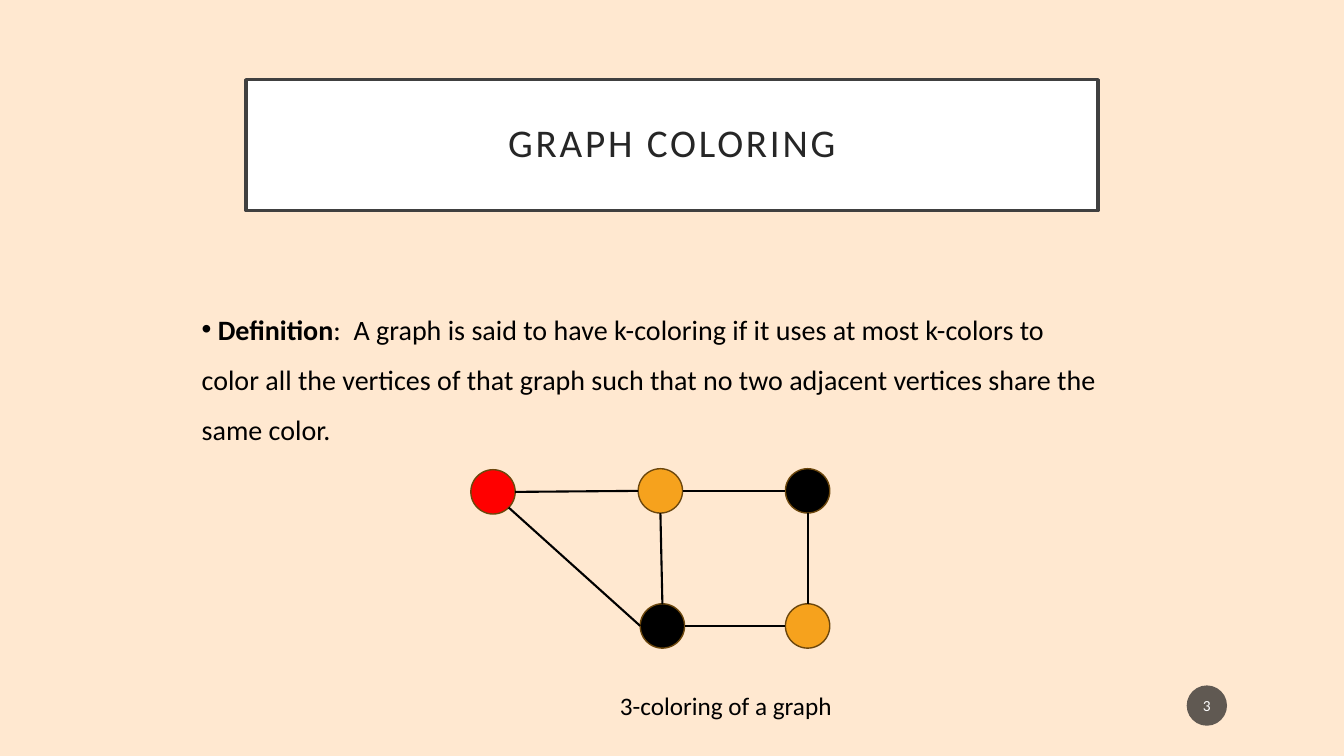
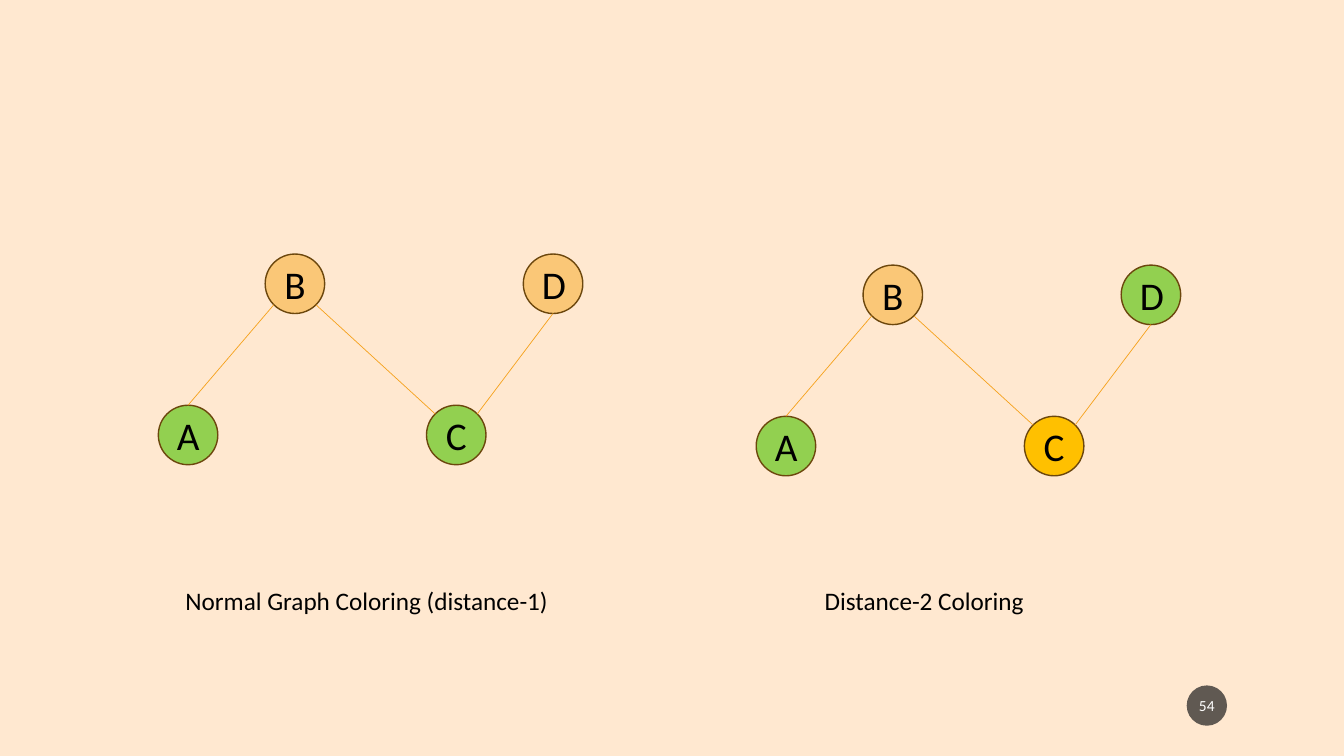
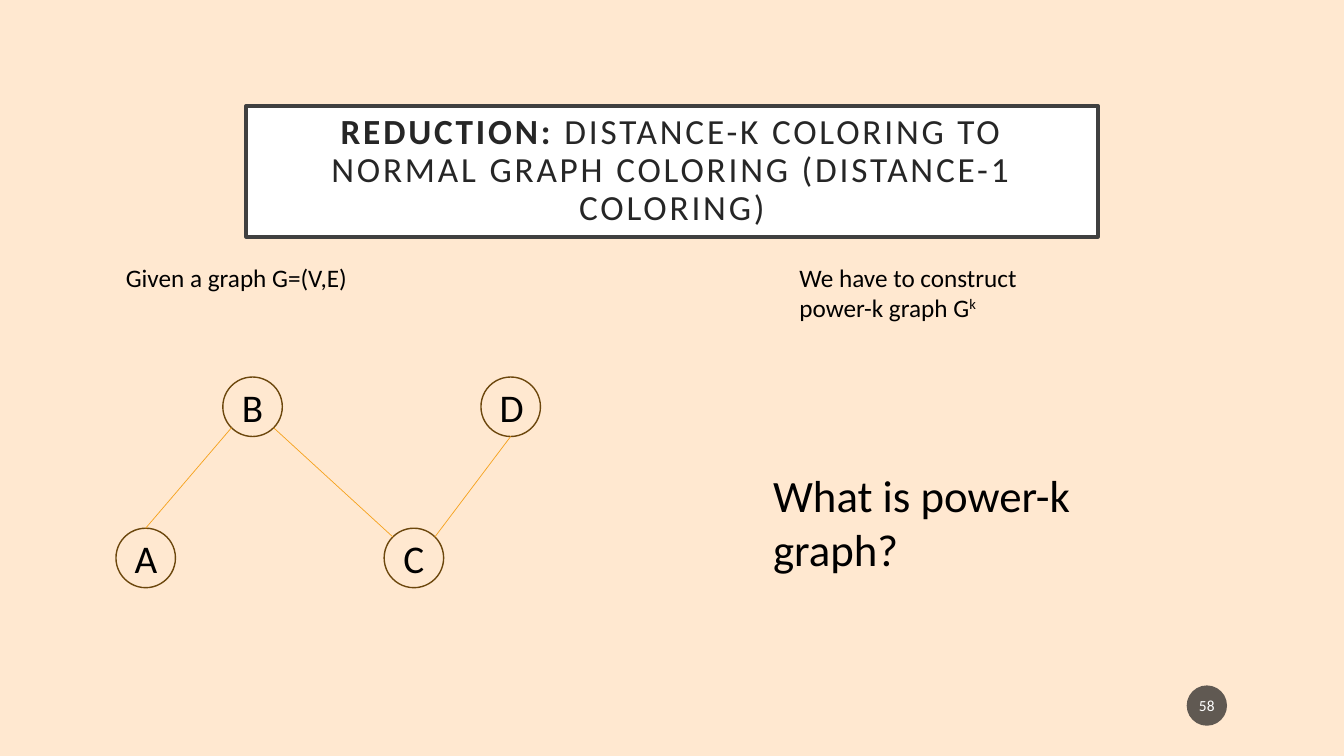
import math

import lxml.etree
import pptx
import pptx.dml.color
import pptx.enum.shapes
import pptx.enum.text
import pptx.oxml.ns
import pptx.util

Inches = pptx.util.Inches
Pt = pptx.util.Pt
RGBColor = pptx.dml.color.RGBColor
Align = pptx.enum.text.PP_ALIGN
Anchor = pptx.enum.text.MSO_ANCHOR
Fit = pptx.enum.text.MSO_AUTO_SIZE
Shape = pptx.enum.shapes.MSO_SHAPE
Line = pptx.enum.shapes.MSO_CONNECTOR
qn = pptx.oxml.ns.qn

FONT = "Calibri"
PAGE = RGBColor(0xFF, 0xE8, 0xD0)
WHITE = RGBColor(0xFF, 0xFF, 0xFF)
BLACK = RGBColor(0x00, 0x00, 0x00)
FRAME = RGBColor(0x40, 0x40, 0x40)
INK = RGBColor(0x26, 0x26, 0x26)
BADGE = RGBColor(0x1D, 0x1D, 0x1D)
BROWN = RGBColor(0x6C, 0x47, 0x0D)
AMBER = RGBColor(0xF6, 0xA2, 0x1D)
PEACH = RGBColor(0xFA, 0xC7, 0x77)
GOLD = RGBColor(0xFF, 0xC0, 0x00)
GREEN = RGBColor(0x92, 0xD0, 0x50)
RED = RGBColor(0xFF, 0x00, 0x00)

TOP, TOP_LEFT, LEFT, LOW_LEFT, LOW, LOW_RIGHT, RIGHT, TOP_RIGHT = range(8)
BIG, SMALL = 0.59, 0.44
CHAIN = {"A": (0, 0), "B": (1.06, -1.5), "C": (2.66, 0), "D": (3.62, -1.5)}
LINKS = [("A", TOP, "B", LOW_LEFT), ("C", TOP_LEFT, "B", LOW_RIGHT),
         ("C", TOP_RIGHT, "D", LOW)]


def place(shape, left, top, width, height):
    shape.left, shape.top = Inches(left), Inches(top)
    shape.width, shape.height = Inches(width), Inches(height)


def write(para, text, size, color=BLACK, bold=False):
    run = para.add_run()
    run.text = text
    run.font.name = FONT
    run.font.size = Pt(size)
    run.font.bold = bold
    run.font.color.rgb = color
    return run


def add_title(slide, top, size, parts):
    title = slide.shapes.title
    place(title, 2.44, top, 8.45, 1.3)
    title.fill.solid()
    title.fill.fore_color.rgb = WHITE
    title.line.color.rgb = FRAME
    title.line.width = Pt(2.5)
    frame = title.text_frame
    frame.word_wrap = True
    frame.auto_size = Fit.NONE
    frame.vertical_anchor = Anchor.MIDDLE
    frame.margin_left = frame.margin_right = Inches(0.2)
    frame.margin_top = frame.margin_bottom = Inches(0.2)
    para = frame.paragraphs[0]
    para.alignment = Align.CENTER
    para.line_spacing = 0.9
    for text, bold in parts:
        run = write(para, text, size, INK, bold)
        run._r.get_or_add_rPr().set("spc", "200")


def add_body(slide, parts):
    body = slide.placeholders[1]
    place(body, 1.9, 2.9, 9.12, 1.56)
    frame = body.text_frame
    frame.word_wrap = True
    frame.auto_size = Fit.NONE
    frame.vertical_anchor = Anchor.MIDDLE
    para = frame.paragraphs[0]
    para.line_spacing = 1.5
    para.space_before = Pt(0)
    props = para._p.get_or_add_pPr()
    props.set("marL", "0")
    props.set("indent", "0")
    lxml.etree.SubElement(props, qn("a:buFont")).set("typeface", "Arial")
    lxml.etree.SubElement(props, qn("a:buChar")).set("char", "•")
    for text, bold in parts:
        write(para, text, 20, bold=bold)


def add_note(slide, left, top, width, height, text, size=18):
    box = slide.shapes.add_textbox(Inches(left), Inches(top),
                                   Inches(width), Inches(height))
    box.text_frame.word_wrap = True
    para = box.text_frame.paragraphs[0]
    write(para, text, size)
    return para


def add_disc(slide, left, top, size, fill):
    disc = slide.shapes.add_shape(Shape.OVAL, Inches(left), Inches(top),
                                  Inches(size), Inches(size))
    disc.shadow.inherit = False
    if fill is None:
        disc.fill.background()
    else:
        disc.fill.solid()
        disc.fill.fore_color.rgb = fill
    return disc


def label(disc, text, size, color):
    frame = disc.text_frame
    frame.vertical_anchor = Anchor.MIDDLE
    para = frame.paragraphs[0]
    para.alignment = Align.CENTER
    write(para, text, size, color)


def add_badge(slide, number):
    badge = add_disc(slide, 11.77, 6.8, 0.4, BADGE)
    color = badge._element.spPr.find(".//" + qn("a:srgbClr"))
    lxml.etree.SubElement(color, qn("a:alpha")).set("val", "70000")
    badge.line.fill.background()
    badge.text_frame.margin_left = badge.text_frame.margin_right = Inches(0.02)
    label(badge, number, 11, WHITE)


def add_node(slide, left, top, size, fill, name=None):
    node = add_disc(slide, left, top, size, fill)
    node.line.color.rgb = BROWN
    node.line.width = Pt(1)
    if name:
        label(node, name, 28, BLACK)
    return node


def rim(node, site):
    angle = math.radians(90 + 45 * site)
    half = node.width / 2
    return (round(node.left + half + half * math.cos(angle)),
            round(node.top + half - half * math.sin(angle)))


def add_edge(slide, start, out, end, into, color, width):
    edge = slide.shapes.add_connector(Line.STRAIGHT, *rim(start, out),
                                      *rim(end, into))
    edge.line.color.rgb = color
    edge.line.width = Pt(width)
    lxml.etree.SubElement(edge._element.spPr, qn("a:effectLst"))
    joints = edge._element.find(".//" + qn("p:cNvCxnSpPr"))
    for tag, node, site in (("a:stCxn", start, out), ("a:endCxn", end, into)):
        joint = lxml.etree.SubElement(joints, qn(tag))
        joint.set("id", str(node.shape_id))
        joint.set("idx", str(site))


def add_chain(slide, left, top, fills):
    nodes = {}
    for (name, (right, down)), fill in zip(CHAIN.items(), fills):
        nodes[name] = add_node(slide, left + right, top + down, BIG, fill, name)
    for start, out, end, into in LINKS:
        add_edge(slide, nodes[start], out, nodes[end], into, AMBER, 0.5)


def add_house(slide):
    spots = [(4.67, 4.66, RED), (6.33, 4.65, AMBER), (7.79, 4.65, BLACK),
             (6.35, 5.99, BLACK), (7.79, 5.99, AMBER)]
    tip, north, east, south, corner = [
        add_node(slide, left, top, SMALL, fill) for left, top, fill in spots]
    for pair in [(north, RIGHT, east, LEFT), (north, LOW, south, TOP),
                 (east, LOW, corner, TOP), (south, RIGHT, corner, LEFT),
                 (tip, RIGHT, north, LEFT), (tip, LOW_RIGHT, south, LEFT)]:
        add_edge(slide, *pair, BLACK, 1.5)


def add_slide(deck, layout, number):
    slide = deck.slides.add_slide(deck.slide_layouts[layout])
    add_badge(slide, number)
    return slide


def main():
    deck = pptx.Presentation()
    deck.slide_width, deck.slide_height = Inches(13.33), Inches(7.5)
    ground = deck.slide_master.background.fill
    ground.solid()
    ground.fore_color.rgb = PAGE

    slide = add_slide(deck, 1, "3")
    add_title(slide, 0.79, 28, [("GRAPH COLORING", False)])
    add_body(slide, [
        (" Definition", True),
        (":  A graph is said to have k-coloring if it uses at most k-colors "
         "to color all the vertices of that graph such that no two adjacent "
         "vertices share the same color.", False)])
    add_house(slide)
    add_note(slide, 6.05, 6.8, 2.4, 0.4, "3-coloring of a graph")

    slide = add_slide(deck, 6, "54")
    add_chain(slide, 1.57, 4.02, [GREEN, PEACH, GREEN, PEACH])
    add_note(slide, 1.74, 5.76, 3.86, 0.4, "Normal Graph Coloring (distance-1)")
    add_chain(slide, 7.5, 4.13, [GREEN, PEACH, GOLD, GREEN])
    add_note(slide, 8.08, 5.76, 2.52, 0.4, "Distance-2 Coloring")

    slide = add_slide(deck, 5, "58")
    add_title(slide, 1.05, 25.2, [
        ("REDUCTION:", True),
        (" DISTANCE-K COLORING TO NORMAL GRAPH COLORING "
         "(DISTANCE-1 COLORING)", False)])
    add_note(slide, 1.15, 2.55, 2.64, 0.4, "Given a graph G=(V,E)")
    add_chain(slide, 1.15, 5.24, [None] * 4)
    para = add_note(slide, 7.83, 2.55, 2.64, 0.71,
                    "We have to construct power-k graph G")
    power = write(para, "k", 18)
    power._r.get_or_add_rPr().set("baseline", "30000")
    add_note(slide, 7.57, 4.59, 4.14, 1.18, "What is power-k graph?", 32)

    deck.save("out.pptx")


if __name__ == "__main__":
    main()
